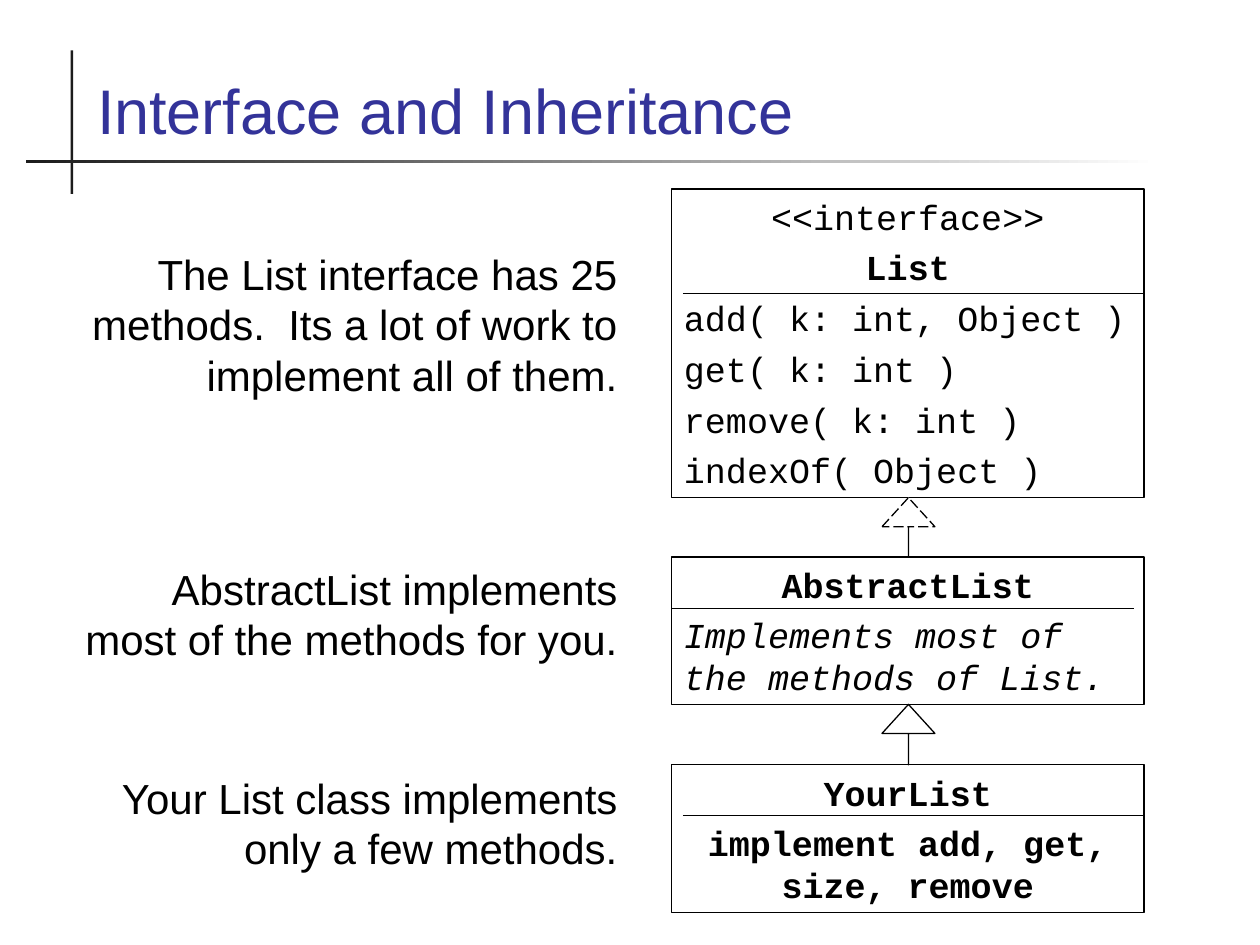
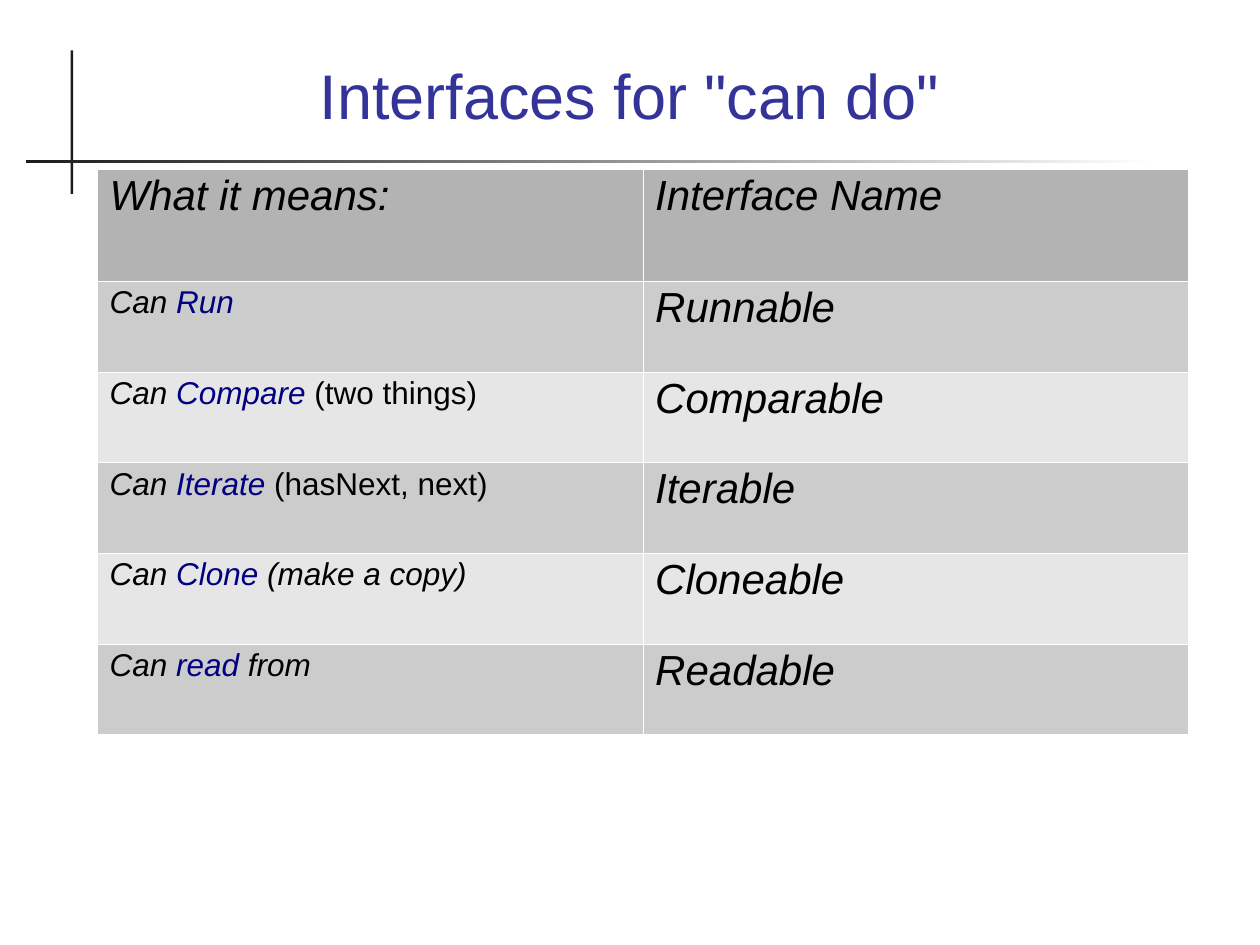
from lxml import etree
from pptx import Presentation
from pptx.dml.color import RGBColor
from pptx.enum import dml, shapes, text
from pptx.oxml import ns
from pptx.util import Inches, Pt

INK = RGBColor(0x1C, 0x1C, 0x1C)
WHITE = RGBColor(0xFF, 0xFF, 0xFF)
BLACK = RGBColor(0, 0, 0)
TITLE = RGBColor(0x33, 0x33, 0x99)
NAVY = RGBColor(0, 0, 0x80)
HEAD = RGBColor(0xB3, 0xB3, 0xB3)
ODD = RGBColor(0xCC, 0xCC, 0xCC)
EVEN = RGBColor(0xE6, 0xE6, 0xE6)
SANS, MONO = "Arial", "Courier New"
LEFT, CENTER, RIGHT = text.PP_ALIGN.LEFT, text.PP_ALIGN.CENTER, text.PP_ALIGN.RIGHT
BOX_X, BOX_W = 5.33, 3.75


def place(item, x, y, w, h):
    item.left, item.top = Inches(x), Inches(y)
    item.width, item.height = Inches(w), Inches(h)


def add_run(para, words, size, face=SANS, color=BLACK, bold=False, italic=False):
    run = para.add_run()
    run.text = words
    font = run.font
    font.size, font.name = Pt(size), face
    font.bold, font.italic = bold, italic
    font.color.rgb = color


def set_insets(item):
    item.margin_left = item.margin_right = Inches(0.1)
    item.margin_top = item.margin_bottom = Inches(0.05)


def set_frame(frame, anchor):
    frame.word_wrap = True
    frame.auto_size = text.MSO_AUTO_SIZE.NONE
    frame.vertical_anchor = anchor
    set_insets(frame)


def add_shape(slide, kind, x, y, w, h):
    shape = slide.shapes.add_shape(kind, Inches(x), Inches(y), Inches(w), Inches(h))
    shape.shadow.inherit = False
    return shape


def add_bands(slide):
    rect = shapes.MSO_SHAPE.RECTANGLE
    post = add_shape(slide, rect, 0.56, 0.4, 0.02, 1.14)
    post.fill.solid()
    post.fill.fore_color.rgb = INK
    rail = add_shape(slide, rect, 0.21, 1.27, 8.98, 0.02)
    rail.fill.gradient()
    rail.fill.gradient_angle = 180
    for stop, color in zip(rail.fill.gradient_stops, (WHITE, INK)):
        stop.color.rgb = color
    for band in (post, rail):
        band.line.fill.background()


def start_slide(deck, layout, words, align, anchor):
    slide = deck.slides.add_slide(deck.slide_layouts[layout])
    add_bands(slide)
    title = slide.shapes.title
    place(title, 0.67, 0.28, 8.65, 0.94)
    set_frame(title.text_frame, anchor)
    para = title.text_frame.paragraphs[0]
    para.alignment = align
    add_run(para, words, 36, color=TITLE)
    return slide


def fill_note(note, words):
    set_frame(note.text_frame, text.MSO_ANCHOR.TOP)
    para = note.text_frame.paragraphs[0]
    props = para._p.get_or_add_pPr()
    props.set("marL", "0")
    props.set("indent", "0")
    etree.SubElement(props, ns.qn("a:buNone"))
    para.alignment = RIGHT
    para.space_before = Pt(0)
    add_run(para, words, 24)


def add_note(slide, y, words):
    note = slide.shapes.add_textbox(Inches(0.5), Inches(y), Inches(4.5), Inches(1.08))
    fill_note(note, words)


def style_line(line, dash=None):
    line.color.rgb = BLACK
    line.width = Pt(0.75)
    if dash:
        line.dash_style = dash


def add_class(slide, y, h, rows):
    box = add_shape(slide, shapes.MSO_SHAPE.RECTANGLE, BOX_X, y, BOX_W, h)
    box.fill.background()
    style_line(box.line)
    frame = box.text_frame
    set_frame(frame, text.MSO_ANCHOR.TOP)
    for num, (words, align, bold, italic) in enumerate(rows):
        para = frame.add_paragraph() if num else frame.paragraphs[0]
        para.alignment = align
        para.space_before = Pt(5 if num else 0)
        add_run(para, words, 20, MONO, bold=bold, italic=italic)


def add_rule(slide, x, y, end):
    rule = slide.shapes.add_connector(
        shapes.MSO_CONNECTOR.STRAIGHT, Inches(x), Inches(y), Inches(end), Inches(y))
    style_line(rule.line)
    etree.SubElement(rule._element.spPr, ns.qn("a:effectLst"))


def add_arrow(slide, y, h, dash=None):
    arrow = add_shape(slide, shapes.MSO_SHAPE.UP_ARROW, 7, y, 0.42, h)
    arrow.adjustments[0], arrow.adjustments[1] = 0, 0.55
    arrow.fill.solid()
    arrow.fill.fore_color.rgb = WHITE
    style_line(arrow.line, dash)


def set_edges(cell):
    props = cell._tc.get_or_add_tcPr()
    for num, side in enumerate(("lnL", "lnR", "lnT", "lnB")):
        edge = etree.Element(ns.qn("a:" + side), w=str(Pt(0.06)))
        fill = etree.SubElement(edge, ns.qn("a:solidFill"))
        etree.SubElement(fill, ns.qn("a:srgbClr"), val=str(WHITE))
        props.insert(num, edge)


def fill_cell(cell, shade, runs, size):
    cell.fill.solid()
    cell.fill.fore_color.rgb = shade
    set_edges(cell)
    set_insets(cell)
    para = cell.text_frame.paragraphs[0]
    para.line_spacing = 0.94
    for words, color, italic in runs:
        add_run(para, words, size, color=color, italic=italic)


def add_grid(slide, rows):
    frame = slide.shapes.add_table(
        len(rows) + 1, 2, Inches(0.77), Inches(1.34), Inches(8.66), Inches(4.49))
    grid = frame.table
    for col in grid.columns:
        col.width = Inches(4.33)
    for num, row in enumerate(grid.rows):
        row.height = Inches(0.72 if num else 0.89)
    for num, words in enumerate(("What it means:", "Interface Name")):
        fill_cell(grid.cell(0, num), HEAD, [(words, BLACK, True)], 24)
    for num, (verb, rest, slant, name) in enumerate(rows, 1):
        shade = ODD if num % 2 else EVEN
        runs = [("Can ", BLACK, True), (verb, NAVY, True)]
        if rest:
            runs.append((rest, BLACK, slant))
        fill_cell(grid.cell(num, 0), shade, runs, 18)
        fill_cell(grid.cell(num, 1), shade, [(name, BLACK, True)], 24)


def draw_classes(deck):
    slide = start_slide(deck, 1, "Interface and Inheritance", LEFT, text.MSO_ANCHOR.BOTTOM)
    body = slide.placeholders[1]
    place(body, 0.5, 1.92, 4.5, 1.58)
    fill_note(body, "The List interface has 25 methods.  Its a lot of work to implement all of them.")
    add_note(slide, 4.42, "AbstractList implements most of the methods for you.")
    add_note(slide, 6.08, "Your List class implements only a few methods.")

    calls = ("add( k: int, Object )", "get( k: int )", "remove( k: int )", "indexOf( Object )")
    add_class(slide, 1.5, 2.45, [
        ("<<interface>>", CENTER, False, False),
        ("List", CENTER, True, False),
        *((call, LEFT, False, False) for call in calls)])
    add_class(slide, 4.42, 1.17, [
        ("AbstractList", CENTER, True, False),
        ("Implements most of the methods of List.", LEFT, False, True)])
    add_class(slide, 6.07, 1.17, [
        ("YourList", CENTER, True, False),
        ("implement add, get, size, remove", CENTER, True, False)])

    add_arrow(slide, 3.95, 0.47, dml.MSO_LINE.LONG_DASH)
    add_arrow(slide, 5.59, 0.48)
    for x, y, end in ((5.42, 2.33, 9.08), (5.33, 4.83, 9), (5.42, 6.47, 9.08)):
        add_rule(slide, x, y, end)


def draw_table(deck):
    slide = start_slide(deck, 5, 'Interfaces for "can do"', CENTER, text.MSO_ANCHOR.MIDDLE)
    add_grid(slide, [
        ("Run", "", True, "Runnable"),
        ("Compare ", "(two things)", False, "Comparable"),
        ("Iterate ", "(hasNext, next)", False, "Iterable"),
        ("Clone", " (make a copy)", True, "Cloneable"),
        ("read", " from", True, "Readable")])


def main():
    deck = Presentation()
    deck.slide_width, deck.slide_height = Inches(10), Inches(7.5)
    draw_classes(deck)
    draw_table(deck)
    deck.save("out.pptx")


if __name__ == "__main__":
    main()
